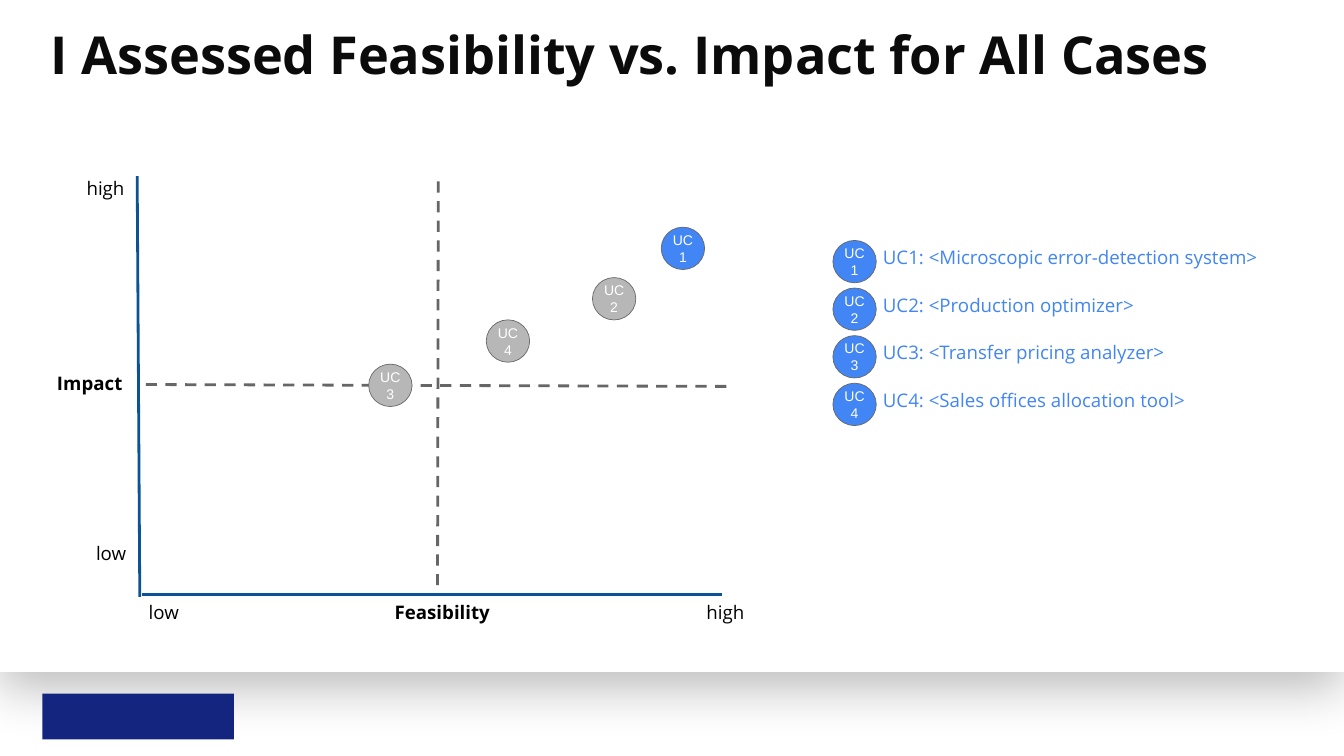
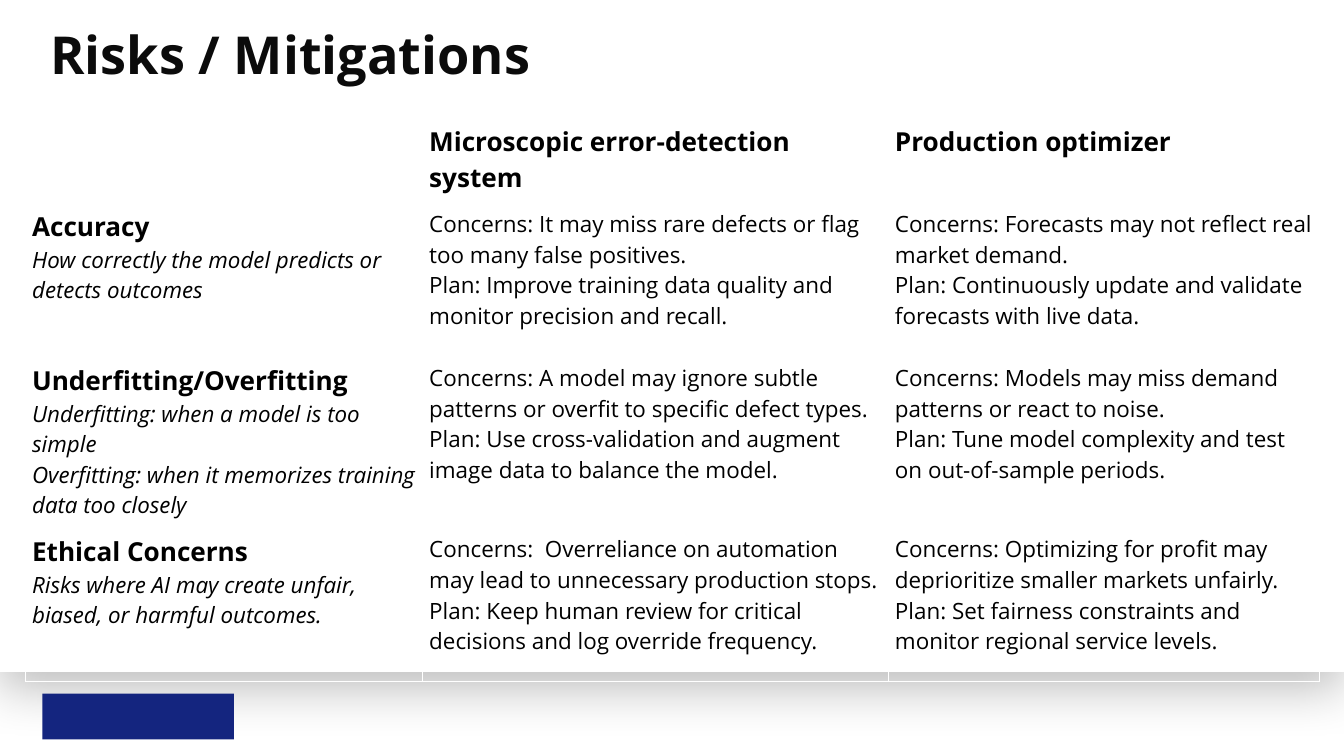
from collections import namedtuple
from dataclasses import dataclass

from lxml import etree
from pptx import Presentation
from pptx.dml.color import RGBColor
from pptx.enum import dml, shapes, text
from pptx.oxml import ns
from pptx.util import Pt

Box = namedtuple("Box", "left top width height")


@dataclass(frozen=True)
class Theme:
    font: str = "Open Sans"
    marker_font: str = "Arial"
    white: str = "FFFFFF"
    black: str = "000000"
    title: str = "0B0B0B"
    footer: str = "14257F"
    accent: str = "4285F4"
    muted: str = "B7B7B7"
    outline: str = "666666"
    axis: str = "0B5394"
    title_size: float = 56
    heading_size: float = 28
    body_size: float = 24
    label_size: float = 20
    marker_size: float = 15


THEME = Theme()
PAGE = Box(0, 0, 1440, 810)
MARKER_WIDTH, MARKER_HEIGHT = 46.5, 45.4
LEGEND_STEP = 51

USE_CASES = [
    "UC1: <Microscopic error-detection system>",
    "UC2: <Production optimizer>",
    "UC3: <Transfer pricing analyzer>",
    "UC4: <Sales offices allocation tool>",
]

RISK_COLUMNS = ["Microscopic error-detection system", "Production optimizer"]
RISK_COLUMN_WIDTHS = (425.5, 499, 462.2)
RISK_ROW_HEIGHTS = (90.8, 165, 183.4, 165)
RISK_ROWS = [
    (
        ("Accuracy", "How correctly the model predicts or detects outcomes"),
        ("Concerns: It may miss rare defects or flag too many false positives.",
         "Plan: Improve training data quality and monitor precision and recall."),
        ("Concerns: Forecasts may not reflect real market demand.",
         "Plan: Continuously update and validate forecasts with live data."),
    ),
    (
        ("Underfitting/Overfitting",
         "Underfitting: when a model is too simple",
         "Overfitting: when it memorizes training data too closely"),
        ("Concerns: A model may ignore subtle patterns or overfit to specific defect types.",
         "Plan: Use cross-validation and augment image data to balance the model."),
        ("Concerns: Models may miss demand patterns or react to noise.",
         "Plan: Tune model complexity and test on out-of-sample periods."),
    ),
    (
        ("Ethical Concerns",
         "Risks where AI may create unfair, biased, or harmful outcomes."),
        ("Concerns:  Overreliance on automation may lead to unnecessary production stops.",
         "Plan: Keep human review for critical decisions and log override frequency."),
        ("Concerns: Optimizing for profit may deprioritize smaller markets unfairly.",
         "Plan: Set fairness constraints and monitor regional service levels."),
    ),
]


def inside(box, left, top, width, height):
    return Box(box.left + left, box.top + top, width, height)


def points(box):
    return [Pt(length) for length in box]


def set_font(font, size, color=THEME.black, bold=False, italic=False, name=THEME.font):
    font.name = name
    font.size = Pt(size)
    font.bold = bold
    font.italic = italic
    font.color.rgb = RGBColor.from_string(color)


def set_margins(holder, margin):
    holder.margin_left = holder.margin_right = Pt(margin)
    holder.margin_top = holder.margin_bottom = Pt(margin)


def add_filled(page, kind, box, fill, outline=None):
    shape = page.shapes.add_shape(kind, *points(box))
    shape.fill.solid()
    shape.fill.fore_color.rgb = RGBColor.from_string(fill)
    if outline:
        shape.line.color.rgb = RGBColor.from_string(outline)
        shape.line.width = Pt(0.75)
    else:
        shape.line.fill.background()
    shape.shadow.inherit = False
    return shape


def add_text(page, box, words, size, color=THEME.black, bold=False,
             align=text.PP_ALIGN.LEFT, margin=7.2):
    frame = page.shapes.add_textbox(*points(box)).text_frame
    frame.word_wrap = True
    set_margins(frame, margin)
    para = frame.paragraphs[0]
    para.text = words
    para.alignment = align
    set_font(para.font, size, color, bold)


def add_line(page, box, start, end, color, dashed=False):
    x1, y1 = start
    x2, y2 = end
    line = page.shapes.add_connector(
        shapes.MSO_CONNECTOR.STRAIGHT,
        Pt(box.left + x1), Pt(box.top + y1), Pt(box.left + x2), Pt(box.top + y2))
    line.line.color.rgb = RGBColor.from_string(color)
    line.line.width = Pt(3)
    if dashed:
        line.line.dash_style = dml.MSO_LINE.DASH
    etree.SubElement(line._element.spPr, ns.qn("a:effectLst"))


def add_marker(page, box, left, top, number, fill):
    marker = add_filled(page, shapes.MSO_SHAPE.OVAL,
                        inside(box, left, top, MARKER_WIDTH, MARKER_HEIGHT),
                        fill, THEME.outline)
    frame = marker.text_frame
    set_margins(frame, 0)
    frame.vertical_anchor = text.MSO_ANCHOR.MIDDLE
    para = frame.paragraphs[0]
    para.text = f"UC\v{number}"
    para.alignment = text.PP_ALIGN.CENTER
    set_font(para.font, THEME.marker_size, THEME.white, name=THEME.marker_font)


def add_drop_shadow(shape):
    effects = shape._element.spPr.find(ns.qn("a:effectLst"))
    shadow = etree.SubElement(effects, ns.qn("a:outerShdw"), blurRad=str(Pt(56.2)),
                              dist=str(Pt(18.8)), dir="5400000", algn="t", rotWithShape="0")
    color = etree.SubElement(shadow, ns.qn("a:srgbClr"), val=THEME.black)
    etree.SubElement(color, ns.qn("a:alpha"), val="25000")


def add_page(deck, title):
    page = deck.slides.add_slide(deck.slide_layouts[6])
    sheet = add_filled(page, shapes.MSO_SHAPE.RECTANGLE,
                       inside(PAGE, 0, 0, PAGE.width, 720), THEME.white)
    add_drop_shadow(sheet)
    add_filled(page, shapes.MSO_SHAPE.RECTANGLE,
               inside(PAGE, 45.4, 743.3, 205.2, 49), THEME.footer)
    add_text(page, inside(PAGE, 54, 24, 1332, 118.8), title,
             THEME.title_size, THEME.title, bold=True, margin=0)
    return page


def add_legend(page, box):
    for index, name in enumerate(USE_CASES):
        top = index * LEGEND_STEP
        add_marker(page, box, 0, top, index + 1, THEME.accent)
        add_text(page, inside(box, MARKER_WIDTH, top - 1.5, box.width - MARKER_WIDTH, 56),
                 name, THEME.label_size, THEME.accent)


def add_matrix(page, box):
    add_line(page, box, (415.6, 12.4), (414.8, 445), THEME.outline, dashed=True)
    add_line(page, box, (102.2, 230), (729.4, 232), THEME.outline, dashed=True)
    add_line(page, box, (93, 6.6), (95.8, 457.4), THEME.axis)
    add_line(page, box, (719.3, 455.2), (98, 455.2), THEME.axis)

    left, center = text.PP_ALIGN.LEFT, text.PP_ALIGN.CENTER
    labels = [
        ("Impact", (0, 209, 103, 56), True, left),
        ("Feasibility", (206.8, 454.6, 426.2, 56), True, center),
        ("low", (98.2, 454.6, 82, 29), False, left),
        ("low", (41.8, 391, 82, 29), False, left),
        ("high", (695.8, 454.6, 100, 21), False, left),
        ("high", (31.7, 0, 100, 21), False, left),
    ]
    for words, place, bold, align in labels:
        add_text(page, inside(box, *place), words, THEME.label_size, bold=bold, align=align)

    use_case_spots = [(654.5, 61.4), (580.8, 115.4), (341, 208.2), (467, 160.7)]
    for number, (x, y) in enumerate(use_case_spots, 1):
        add_marker(page, box, x, y, number, THEME.accent if number == 1 else THEME.muted)


def fill_heading(cell, heading):
    para = cell.text_frame.paragraphs[0]
    para.text = heading
    set_font(para.font, THEME.heading_size, bold=True)


def fill_body(cell, lines):
    frame = cell.text_frame
    for index, line in enumerate(lines):
        para = frame.add_paragraph() if index else frame.paragraphs[0]
        para.text = line
        set_font(para.font, THEME.body_size)


def fill_topic(cell, heading, definition, *more):
    para = cell.text_frame.paragraphs[0]
    span = para.add_run()
    span.text = heading
    set_font(span.font, THEME.heading_size, bold=True)
    para.add_line_break()
    span = para.add_run()
    span.text = definition
    set_font(span.font, THEME.body_size, italic=True)
    for line in more:
        para = cell.text_frame.add_paragraph()
        para.text = line
        set_font(para.font, THEME.body_size, italic=True)


def add_risk_table(page, box):
    table = page.shapes.add_table(len(RISK_ROW_HEIGHTS), len(RISK_COLUMN_WIDTHS),
                                  *points(box)).table
    table.first_row = table.horz_banding = False
    for column, width in zip(table.columns, RISK_COLUMN_WIDTHS):
        column.width = Pt(width)
    for row, height in zip(table.rows, RISK_ROW_HEIGHTS):
        row.height = Pt(height)
    for cell in table.iter_cells():
        cell.fill.background()
        set_margins(cell, 7.2)

    for column, heading in enumerate(["", *RISK_COLUMNS]):
        fill_heading(table.cell(0, column), heading)
    for row, (topic, *plans) in enumerate(RISK_ROWS, 1):
        fill_topic(table.cell(row, 0), *topic)
        for column, lines in enumerate(plans, 1):
            fill_body(table.cell(row, column), lines)


def main():
    deck = Presentation()
    deck.slide_width, deck.slide_height = Pt(PAGE.width), Pt(PAGE.height)

    page = add_page(deck, "I Assessed Feasibility vs. Impact for All Cases")
    add_legend(page, Box(892.4, 257.6, 509, 200))
    add_matrix(page, Box(54, 182, 796, 512))

    page = add_page(deck, "Risks / Mitigations")
    add_risk_table(page, Box(27.2, 125.7, sum(RISK_COLUMN_WIDTHS), sum(RISK_ROW_HEIGHTS)))

    deck.save("out.pptx")


if __name__ == "__main__":
    main()
